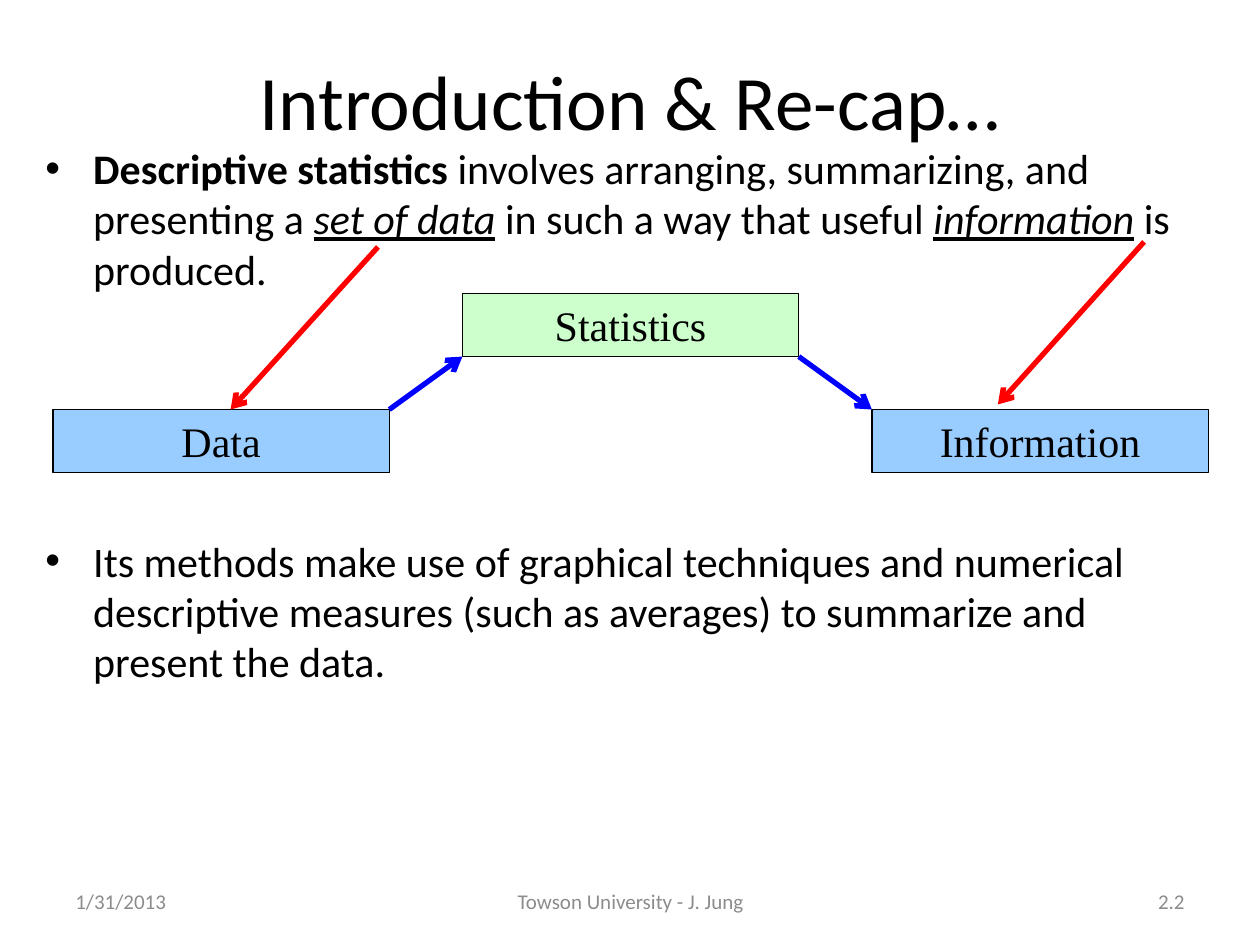
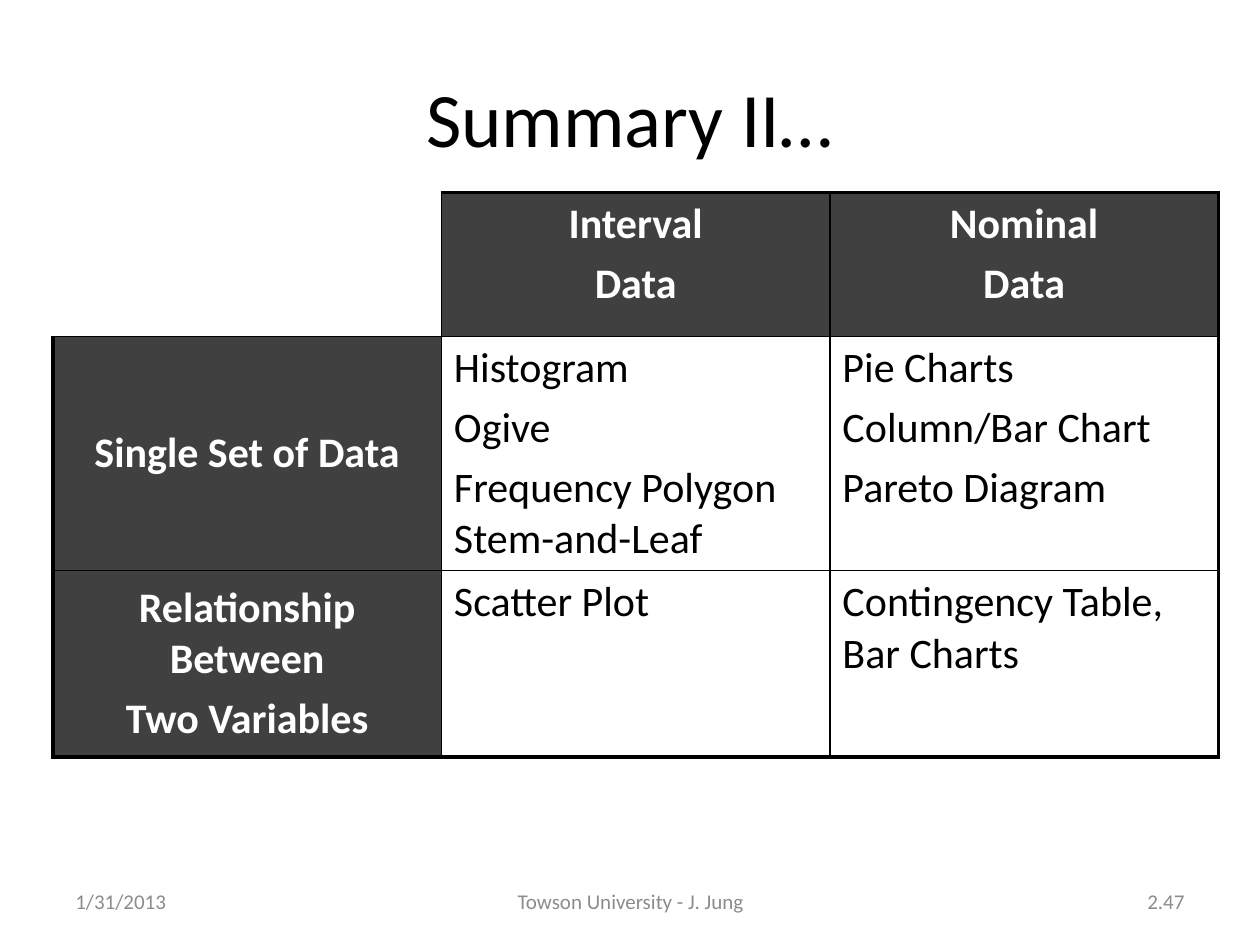
from lxml import etree
from pptx import Presentation
from pptx.dml.color import RGBColor
from pptx.enum.shapes import MSO_CONNECTOR, MSO_SHAPE
from pptx.enum.text import MSO_ANCHOR, MSO_AUTO_SIZE, PP_ALIGN
from pptx.oxml.ns import qn
from pptx.util import Inches, Pt

BLACK, WHITE, GREY, DARK = "000000", "FFFFFF", "8C8C8C", "404040"
SKY, MINT, BLUE, RED = "99CCFF", "CCFFCC", "0000FF", "FF0000"
SANS, SERIF = "Calibri", "Times New Roman"
TITLE_SIZE, TEXT_SIZE, FOOTER_SIZE = 44, 24, 12
BULLET_INDENT = Inches(0.38)
THIN, THICK = 1, 2.25


def color(value):
    return RGBColor.from_string(value)


def inches(*lengths):
    return [Inches(length) for length in lengths]


class Slides:
    def __init__(self):
        self.deck = Presentation()
        self.deck.slide_width, self.deck.slide_height = inches(10, 7.5)
        self.page = None

    def new_page(self, layout, title, title_top, number):
        self.page = self.deck.slides.add_slide(self.deck.slide_layouts[layout])
        box = self.page.shapes.title
        self.place(box, 0.5, title_top, 9, 1.25)
        box.text_frame.vertical_anchor = MSO_ANCHOR.MIDDLE
        self.set_lines(box.text_frame, [title], TITLE_SIZE, align=PP_ALIGN.CENTER)
        self.footer(0.5, 2.33, "1/31/2013", PP_ALIGN.LEFT)
        self.footer(3.42, 3.17, "Towson University - J. Jung", PP_ALIGN.CENTER)
        self.footer(7.17, 2.33, number, PP_ALIGN.RIGHT)

    def place(self, box, left, top, width, height):
        box.left, box.top, box.width, box.height = inches(left, top, width, height)

    def style(self, paragraph, size, ink=BLACK, font=SANS, bold=None, align=None):
        paragraph.alignment = align
        paragraph.font.size = Pt(size)
        paragraph.font.name = font
        paragraph.font.bold = bold
        paragraph.font.color.rgb = color(ink)

    def set_lines(self, frame, lines, size, gap=0, **look):
        frame.word_wrap = True
        frame.text = "\n".join(lines)
        for index, paragraph in enumerate(frame.paragraphs):
            paragraph.space_before = Pt(gap if index else 0)
            self.style(paragraph, size, **look)

    def footer(self, left, width, text, align):
        box = self.page.shapes.add_textbox(*inches(left, 6.95, width, 0.4))
        box.text_frame.vertical_anchor = MSO_ANCHOR.MIDDLE
        self.set_lines(box.text_frame, [text], FOOTER_SIZE, ink=GREY, align=align)

    def bullets(self, position, items, gap):
        box = self.page.placeholders[1]
        self.place(box, *position)
        frame = box.text_frame
        frame.auto_size = MSO_AUTO_SIZE.NONE
        for index, spans in enumerate(items):
            paragraph = frame.add_paragraph() if index else frame.paragraphs[0]
            properties = paragraph._p.get_or_add_pPr()
            properties.set("marL", str(BULLET_INDENT))
            properties.set("indent", str(-BULLET_INDENT))
            etree.SubElement(properties, qn("a:buChar")).set("char", "•")
            paragraph.space_before = Pt(gap if index else 0)
            self.style(paragraph, TEXT_SIZE)
            for text, emphasis in spans:
                span = paragraph.add_run()
                span.text = text
                if emphasis == "strong":
                    span.font.bold = True
                elif emphasis == "term":
                    span.font.italic = span.font.underline = True

    def label_box(self, left, top, width, height, text, fill):
        box = self.page.shapes.add_shape(
            MSO_SHAPE.RECTANGLE, *inches(left, top, width, height))
        box.shadow.inherit = False
        box.fill.solid()
        box.fill.fore_color.rgb = color(fill)
        box.line.color.rgb = color(BLACK)
        box.line.width = Pt(0.75)
        box.text_frame.vertical_anchor = MSO_ANCHOR.MIDDLE
        self.set_lines(box.text_frame, [text], TEXT_SIZE, font=SERIF, align=PP_ALIGN.CENTER)

    def arrow(self, start, end, ink):
        arrow = self.page.shapes.add_connector(
            MSO_CONNECTOR.STRAIGHT, *inches(*start, *end))
        arrow.line.color.rgb = color(ink)
        arrow.line.width = Pt(3)
        properties = arrow._element.spPr
        etree.SubElement(properties.find(qn("a:ln")), qn("a:tailEnd")).set("type", "arrow")
        etree.SubElement(properties, qn("a:effectLst"))

    def border(self, cell, side, width):
        line = etree.SubElement(cell._tc.get_or_add_tcPr(), qn(f"a:ln{side}"))
        if not width:
            etree.SubElement(line, qn("a:noFill"))
            return
        line.set("w", str(Pt(width)))
        fill = etree.SubElement(line, qn("a:solidFill"))
        etree.SubElement(fill, qn("a:srgbClr")).set("val", BLACK)

    def table(self, position, row_heights, rows):
        last_row, last_column = len(rows) - 1, len(rows[0]) - 1
        table = self.page.shapes.add_table(
            len(rows), len(rows[0]), *inches(*position)).table
        table.first_row = table.horz_banding = False
        for row, height in zip(table.rows, row_heights):
            row.height = Inches(height)
        for r, row in enumerate(rows):
            for c, lines in enumerate(row):
                cell = table.cell(r, c)
                outer = THICK if lines else 0
                self.border(cell, "L", THIN if c else outer)
                self.border(cell, "R", THICK if c == last_column else THIN)
                self.border(cell, "T", THIN if r else outer)
                self.border(cell, "B", THICK if r == last_row else THIN)
                if not lines:
                    cell.fill.background()
                    continue
                header = r == 0 or c == 0
                if header:
                    cell.fill.solid()
                    cell.fill.fore_color.rgb = color(DARK)
                else:
                    cell.fill.background()
                cell.vertical_anchor = MSO_ANCHOR.TOP if c else MSO_ANCHOR.MIDDLE
                self.set_lines(cell.text_frame, lines, TEXT_SIZE, gap=5,
                               ink=WHITE if header else BLACK, bold=header,
                               align=PP_ALIGN.CENTER if header else PP_ALIGN.LEFT)


def introduction(slides):
    slides.new_page(1, "Introduction & Re-cap…", 0.17, "2.2")
    slides.bullets((0.26, 1.08, 9.4, 5.92), [
        [("Descriptive statistics", "strong"),
         (" involves arranging, summarizing, and presenting a ", None),
         ("set of data", "term"),
         (" in such a way that useful ", None),
         ("information", "term"),
         (" is produced.", None)],
        [("Its methods make use of graphical techniques and numerical descriptive "
          "measures (such as averages) to summarize and present the data.", None)],
    ], gap=138)

    width, height, left, step = 2.67, 0.5, 0.42, 3.25
    low, high = 3.25, 2.33
    stages = [("Data", low, SKY), ("Statistics", high, MINT), ("Information", low, SKY)]
    for index, (text, top, fill) in enumerate(stages):
        slides.label_box(left + index * step, top, width, height, text, fill)

    statistics_left = left + step
    slides.arrow((left + width, low), (statistics_left, high + height), BLUE)
    slides.arrow((statistics_left + width, high + height), (left + 2 * step, low), BLUE)
    slides.arrow((3, 1.96), (1.83, 3.25), RED)
    slides.arrow((9.08, 1.92), (7.92, 3.21), RED)


def summary(slides):
    slides.new_page(5, "Summary II…", 0.3, "2.47")
    slides.table((0.42, 1.53, 9.25, 4.48), (1.14, 1.86, 1.48), [
        [[], ["Interval", "Data"], ["Nominal", "Data"]],
        [["Single Set of Data"],
         ["Histogram", "Ogive", "Frequency Polygon Stem-and-Leaf"],
         ["Pie Charts", "Column/Bar Chart", "Pareto Diagram"]],
        [["Relationship Between", "Two Variables"],
         ["Scatter Plot"],
         ["Contingency Table, Bar Charts"]],
    ])


def main():
    slides = Slides()
    introduction(slides)
    summary(slides)
    slides.deck.save("out.pptx")


if __name__ == "__main__":
    main()
